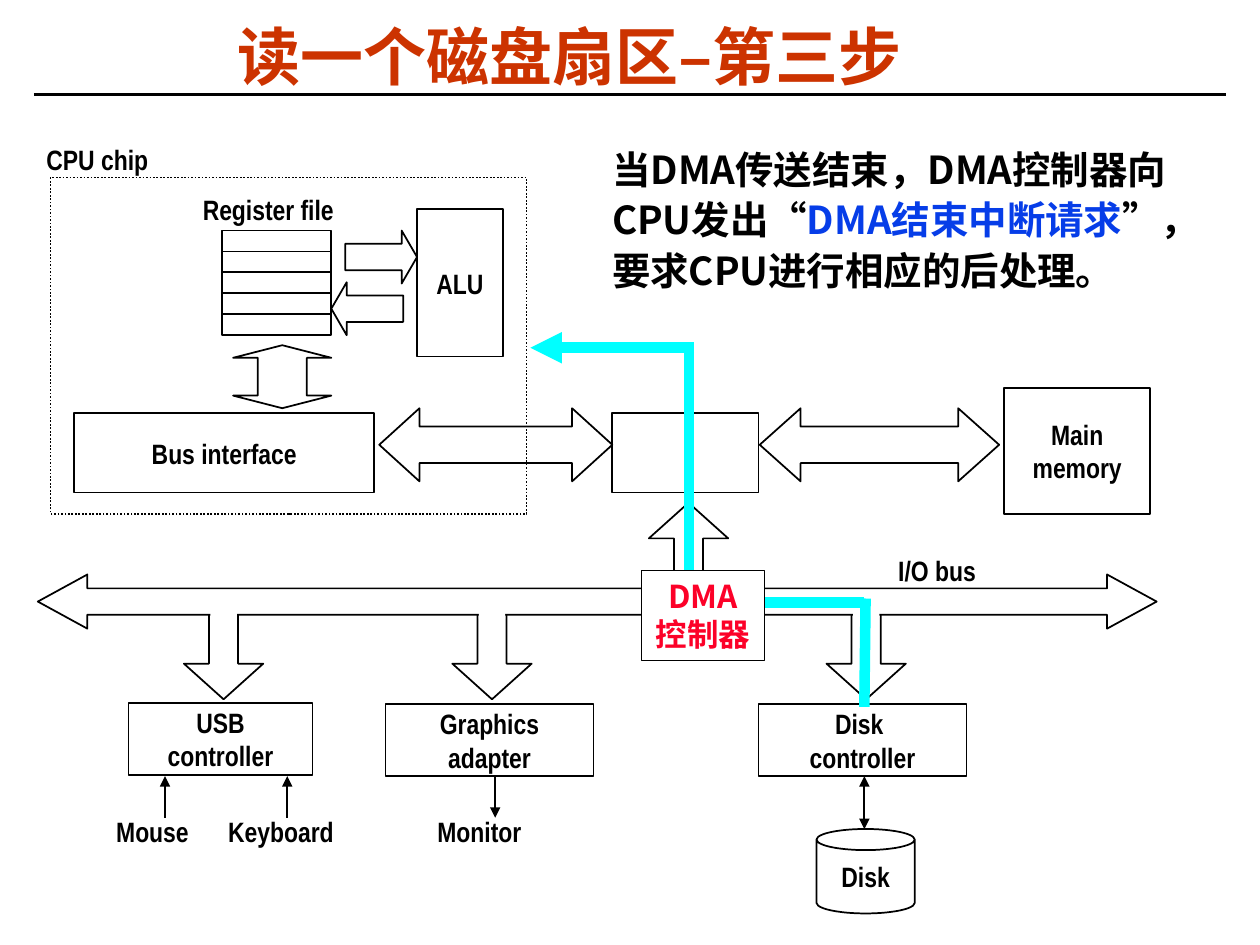
from dataclasses import dataclass

import pptx
import pptx.dml.color
import pptx.enum.dml
import pptx.enum.shapes
import pptx.enum.text
import pptx.oxml.ns
import pptx.util
from lxml import etree

Inches = pptx.util.Inches
Pt = pptx.util.Pt
SHAPE = pptx.enum.shapes.MSO_SHAPE
ALIGN = pptx.enum.text.PP_ALIGN
ANCHOR = pptx.enum.text.MSO_ANCHOR
NARROW, CJK = "Arial Narrow", "Noto Sans CJK SC"
BLACK, WHITE, CYAN, RED = "000000", "FFFFFF", "00FFFF", "FC0128"


@dataclass
class Block:
    at: tuple[float, float, float, float]
    text: str = ""
    kind: SHAPE = SHAPE.RECTANGLE
    adj: tuple[float, ...] = ()
    fill: str | None = None
    line: float = 1
    dotted: bool = False
    turn: float = 0


@dataclass
class Label:
    at: tuple[float, float, float, float]
    text: str
    align: ALIGN = ALIGN.CENTER


@dataclass
class Link:
    start: tuple[float, float]
    end: tuple[float, float]
    colour: str = BLACK
    width: float = 1
    head: bool = False
    tail: bool = False


def rgb(value: str) -> pptx.dml.color.RGBColor:
    return pptx.dml.color.RGBColor.from_string(value)


def write(sp, text, size=16, font=NARROW, colour=BLACK, align=ALIGN.CENTER,
          anchor=ANCHOR.MIDDLE, wrap=False, spacing=None) -> None:
    """Fill a shape with lines, each a string or a list of (text, colour) runs."""
    tf = sp.text_frame
    tf.word_wrap, tf.vertical_anchor = wrap, anchor
    lines = text.split("\n") if isinstance(text, str) else text
    for i, line in enumerate(lines):
        p = tf.add_paragraph() if i else tf.paragraphs[0]
        p.alignment = align
        p._p.get_or_add_pPr().set("hangingPunct", "0")
        if spacing:
            p.line_spacing = spacing
        for words, shade in [(line, colour)] if isinstance(line, str) else line:
            r = p.add_run()
            r.text = words
            r.font.size, r.font.bold, r.font.name = Pt(size), True, font
            r.font.color.rgb = rgb(shade)
            ea = etree.SubElement(r.font._element, pptx.oxml.ns.qn("a:ea"))
            ea.set("typeface", font)


def textbox(s, at):
    return s.shapes.add_textbox(*map(Inches, at))


def draw_label(s, label: Label) -> None:
    write(textbox(s, label.at), label.text, align=label.align)


def draw_block(s, block: Block):
    sp = s.shapes.add_shape(block.kind, *map(Inches, block.at))
    sp.shadow.inherit = False
    sp.rotation = block.turn
    for i, value in enumerate(block.adj):
        sp.adjustments[i] = value
    if block.fill:
        sp.fill.solid()
        sp.fill.fore_color.rgb = rgb(block.fill)
    else:
        sp.fill.background()
    if block.line:
        sp.line.color.rgb, sp.line.width = rgb(BLACK), Pt(block.line)
    else:
        sp.line.fill.background()
    if block.dotted:
        sp.line.dash_style = pptx.enum.dml.MSO_LINE.ROUND_DOT
    if block.text:
        write(sp, block.text)
    return sp


def draw_link(s, link: Link) -> None:
    sp = s.shapes.add_connector(pptx.enum.shapes.MSO_CONNECTOR.STRAIGHT,
                                *map(Inches, link.start + link.end))
    sp.line.color.rgb, sp.line.width = rgb(link.colour), Pt(link.width)
    ln = sp.line._get_or_add_ln()
    for tag, wanted in (("a:headEnd", link.head), ("a:tailEnd", link.tail)):
        if wanted:
            etree.SubElement(ln, pptx.oxml.ns.qn(tag)).set("type", "triangle")
    etree.SubElement(sp._element.spPr, pptx.oxml.ns.qn("a:effectLst"))


HEAD = (0.5, 0.29)
STEM = (0.367, 0.449)
BRANCHES = [(1.46, 4.75), (3.59, 4.74), (6.56, 4.73)]

CPU = [
    Block((7.97, 3.08, 1.16, 1), "Main\nmemory"),
    Block((6.03, 3.24, 1.9, 0.58), kind=SHAPE.LEFT_RIGHT_ARROW, adj=(0.5, 0.56)),
    Block((4.86, 3.28, 1.16, 0.63)),
    Block((3.01, 3.24, 1.85, 0.58), kind=SHAPE.LEFT_RIGHT_ARROW, adj=(0.5, 0.55)),
    *[Block((1.76, 1.83 + i * 0.166, 0.87, 0.166)) for i in range(5)],
    Block((2.74, 1.83, 0.57, 0.42), kind=SHAPE.RIGHT_ARROW, adj=HEAD),
    Block((2.63, 2.24, 0.57, 0.42), kind=SHAPE.LEFT_ARROW, adj=HEAD),
    Block((3.31, 1.66, 0.68, 1.17), "ALU"),
    Block((1.99, 2.6, 0.5, 0.78), kind=SHAPE.LEFT_RIGHT_ARROW, adj=(0.5, 0.2), turn=90),
    Block((0.4, 1.41, 3.78, 2.67), dotted=True),
    Block((0.59, 3.28, 2.38, 0.63), "Bus interface"),
]
DEVICES = [
    Block((5.15, 3.99, 0.63, 0.75), kind=SHAPE.UP_ARROW, adj=STEM),
    *[Block((x, 4.8, 0.63, 0.75), kind=SHAPE.DOWN_ARROW, adj=STEM) for x, _ in BRANCHES],
    Block((6.02, 5.59, 1.65, 0.57), "Disk \ncontroller"),
    Block((3.06, 5.59, 1.65, 0.57), "Graphics\nadapter"),
    Block((1.02, 5.58, 1.46, 0.57), "USB\ncontroller"),
    Block((6.48, 6.58, 0.78, 0.67), "Disk", SHAPE.CAN, (0.25,)),
    Block((0.3, 4.56, 8.88, 0.43), kind=SHAPE.LEFT_RIGHT_ARROW, adj=(0.486, 0.915), fill=WHITE),
    *[Block((x + 0.21, y, 0.21, 0.17), fill=WHITE, line=0) for x, y in BRANCHES],
]
LABELS = [
    Label((1.51, 1.48, 1.24, 0.37), "Register file"),
    Label((0.27, 1.08, 1.01, 0.37), "CPU chip", ALIGN.LEFT),
    Label((0.82, 6.41, 0.78, 0.37), "Mouse"),
    Label((1.71, 6.41, 1.04, 0.37), "Keyboard"),
    Label((3.37, 6.41, 0.87, 0.37), "Monitor"),
    Label((7.03, 4.34, 0.82, 0.37), "I/O bus", ALIGN.LEFT),
]
LINKS = [
    Link((0.27, 0.75), (9.73, 0.75), width=1.5),
    Link((1.31, 6.16), (1.31, 6.49), head=True),
    Link((2.28, 6.16), (2.28, 6.49), head=True),
    Link((3.93, 6.16), (3.93, 6.49), tail=True),
    Link((6.86, 6.16), (6.86, 6.58), head=True, tail=True),
    Link((5.51, 2.76), (4.21, 2.76), CYAN, 6, tail=True),
    Link((5.47, 2.74), (5.47, 4.75), CYAN, 6),
    Link((5.43, 4.78), (6.86, 4.78), CYAN, 6),
    Link((6.87, 4.75), (6.86, 5.61), CYAN, 6),
]
NOTE = [[("当DMA传送结束，DMA控制器向CPU发出“", BLACK), ("DMA结束中断请求", "063DE8"),
         ("”，要求CPU进行相应的后处理。", BLACK)]]


def main() -> None:
    prs = pptx.Presentation()
    prs.slide_width, prs.slide_height = Inches(10), Inches(7.5)
    s = prs.slides.add_slide(prs.slide_layouts[6])
    write(textbox(s, (0.37, 0.17, 8.3, 0.62)), "读一个磁盘扇区–第三步", size=36,
          font=CJK, colour="CC3300", wrap=True, spacing=0.87)
    for block in CPU + DEVICES:
        draw_block(s, block)
    for label in LABELS:
        draw_label(s, label)
    for link in LINKS:
        draw_link(s, link)
    write(textbox(s, (4.76, 1.07, 4.91, 1.32)), NOTE, size=22, font=CJK,
          align=ALIGN.LEFT, anchor=ANCHOR.TOP, wrap=True, spacing=1.1)
    dma = draw_block(s, Block((5.09, 4.53, 0.98, 0.71), fill=WHITE, line=0.5))
    write(dma, "DMA\n控制器", size=18, font=CJK, colour=RED, anchor=ANCHOR.TOP, wrap=True)
    prs.save("out.pptx")


if __name__ == "__main__":
    main()
